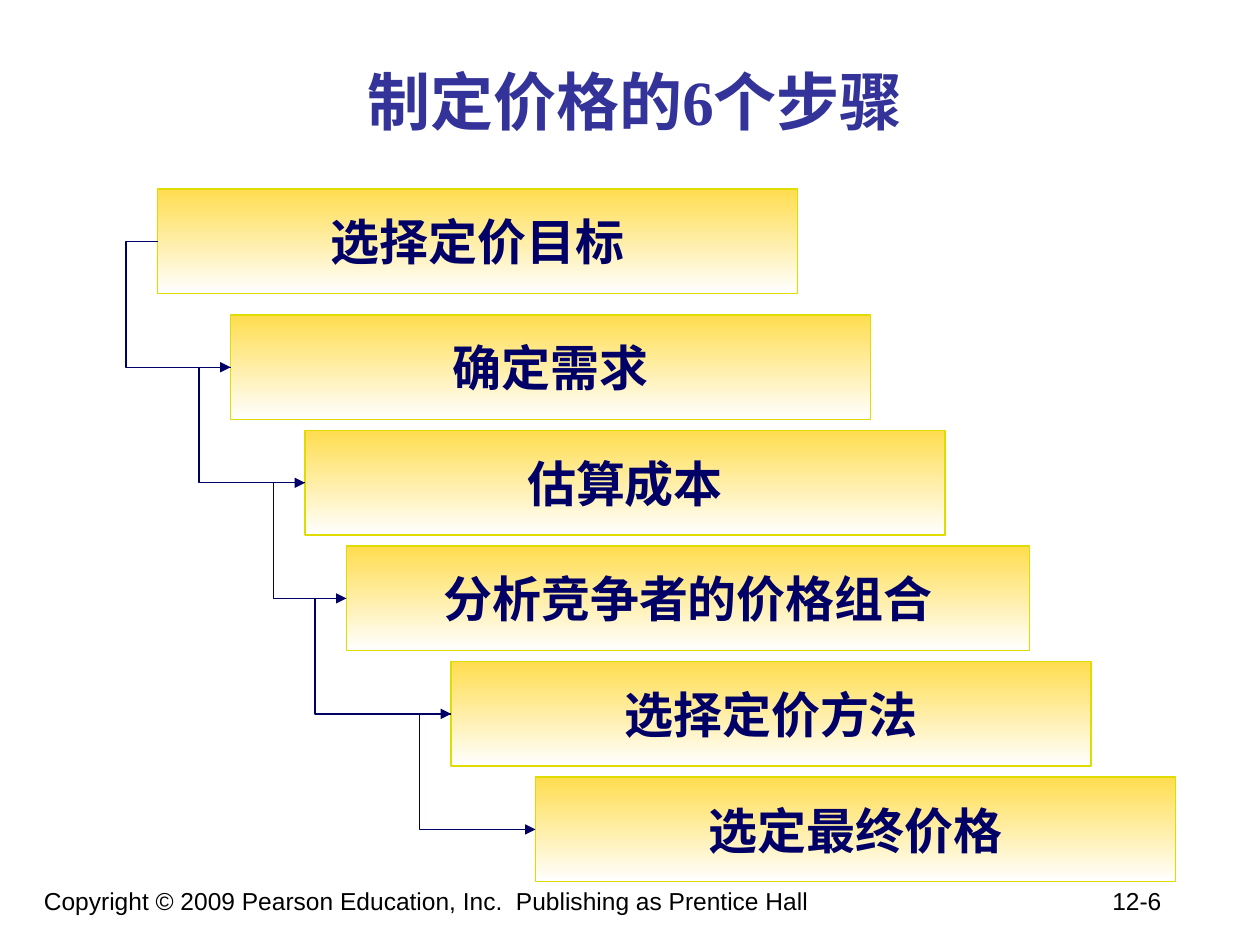
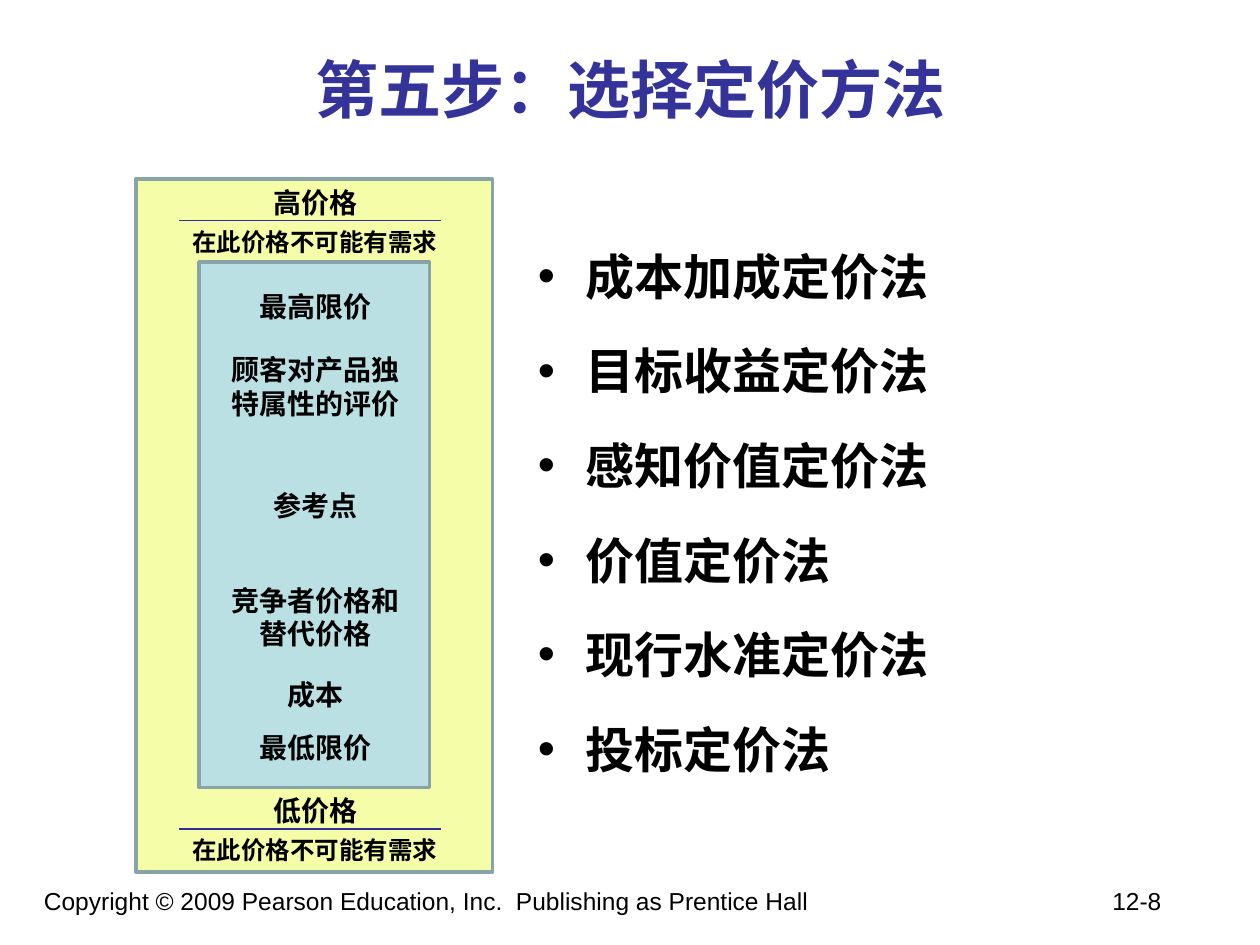
from lxml import etree
from pptx import Presentation
from pptx.dml.color import RGBColor
from pptx.enum.shapes import MSO_CONNECTOR, MSO_SHAPE
from pptx.enum.text import MSO_ANCHOR, MSO_AUTO_SIZE, PP_ALIGN
from pptx.oxml.ns import qn
from pptx.util import Inches, Pt

ELBOW, STRAIGHT = MSO_CONNECTOR.ELBOW, MSO_CONNECTOR.STRAIGHT
RECTANGLE = MSO_SHAPE.RECTANGLE
MIDDLE, TOP = MSO_ANCHOR.MIDDLE, MSO_ANCHOR.TOP
LEFT, CENTER = PP_ALIGN.LEFT, PP_ALIGN.CENTER
FIT_SHAPE = MSO_AUTO_SIZE.SHAPE_TO_FIT_TEXT
NO_FIT = MSO_AUTO_SIZE.NONE

LATIN, CHINESE, SERIF = "Arial", "Noto Sans CJK SC", "Times New Roman"
BLACK, WHITE = "000000", "FFFFFF"
TITLE_BLUE, NAVY, RULE_BLUE = "333399", "000066", "2F2F98"
STEP_GOLD, STEP_EDGE = "FFDD4F", "E1DC00"
SCALE_YELLOW, SCALE_TEAL, SCALE_EDGE = "F5FDA9", "BBE0E3", "89A4A7"

COPYRIGHT = "Copyright © 2009 Pearson Education, Inc.  Publishing as Prentice Hall"

# name, left offset from the first step, width
STEPS = [
    ("选择定价目标", 0, 5.08),
    ("确定需求", 0.58, 5.08),
    ("估算成本", 1.17, 5.08),
    ("分析竞争者的价格组合", 1.5, 5.42),
    ("选择定价方法", 2.33, 5.08),
    ("选定最终价格", 3, 5.08),
]
STEP_HEIGHT = 0.83
STEP_PITCH = 0.917
FIRST_GAP = 1
ELBOW_REACH = 0.25

METHODS = ["成本加成定价法", "目标收益定价法", "感知价值定价法",
           "价值定价法", "现行水准定价法", "投标定价法"]

# label, top and height within the price scale
PRICE_LEVELS = [
    ("最高限价", 0.83, 0.37),
    ("顾客对产品独特属性的评价", 1.33, 0.64),
    ("参考点", 2.41, 0.37),
    ("竞争者价格和替代价格", 3.16, 0.64),
    ("成本", 3.91, 0.37),
    ("最低限价", 4.33, 0.37),
]
NO_DEMAND = "在此价格不可能有需求"


def rgb(value):
    return RGBColor.from_string(value)


def inches(*lengths):
    return [Inches(length) for length in lengths]


def style_text(frame, size, color=BLACK, bold=True, align=CENTER,
               anchor=TOP, font=LATIN):
    frame.vertical_anchor = anchor
    for paragraph in frame.paragraphs:
        paragraph.alignment = align
        for run in paragraph.runs:
            run.font.size = Pt(size)
            run.font.bold = bold
            run.font.name = font
            run.font.color.rgb = rgb(color)
            east_asian = etree.SubElement(run.font._element, qn("a:ea"))
            east_asian.set("typeface", CHINESE)


def add_text(slide, box, text, size, fit=NO_FIT, **style):
    frame = slide.shapes.add_textbox(*inches(*box)).text_frame
    frame.word_wrap = True
    frame.auto_size = fit
    frame.text = text
    style_text(frame, size, **style)
    return frame


def add_rectangle(slide, box, edge, width, fill=None):
    rectangle = slide.shapes.add_shape(RECTANGLE, *inches(*box))
    rectangle.shadow.inherit = False
    rectangle.line.color.rgb = rgb(edge)
    rectangle.line.width = Pt(width)
    if fill:
        rectangle.fill.solid()
        rectangle.fill.fore_color.rgb = rgb(fill)
    return rectangle


def add_line(slide, kind, ends, color):
    line = slide.shapes.add_connector(kind, *inches(*ends))
    line.line.color.rgb = rgb(color)
    line.line.width = Pt(0.75)
    etree.SubElement(line._element.spPr, qn("a:effectLst"))
    return line


def add_slide(deck, title, title_box, number, title_font):
    """Start a slide with the shared title style and footer."""
    slide = deck.slides.add_slide(deck.slide_layouts[5])
    heading = slide.shapes.title
    heading.left, heading.top, heading.width, heading.height = inches(*title_box)
    heading.text_frame.text = title
    style_text(heading.text_frame, 36, TITLE_BLUE, anchor=MIDDLE, font=title_font)

    footer = add_text(slide, (0.25, 6.98, 9.33, 0.52), f"{COPYRIGHT}\t{number}",
                      14, bold=False, align=LEFT)
    tabs = etree.SubElement(footer.paragraphs[0]._p.get_or_add_pPr(), qn("a:tabLst"))
    etree.SubElement(tabs, qn("a:tab"), pos=str(Inches(8.87)), algn="r")
    return slide


def add_step(slide, box, name):
    step = add_rectangle(slide, box, STEP_EDGE, 0.75)
    step.fill.gradient()
    step.fill.gradient_angle = 270
    for stop, color in zip(step.fill.gradient_stops, (STEP_GOLD, WHITE)):
        stop.color.rgb = rgb(color)
    step.text_frame.word_wrap = False
    step.text_frame.text = name
    style_text(step.text_frame, 28, NAVY, anchor=MIDDLE)
    return step


def link_steps(slide, upper, lower):
    """Run an elbow arrow out to the left from one step to the next."""
    link = add_line(slide, ELBOW, (0, 0, 1, 1), NAVY)
    link.begin_connect(upper, 1)
    link.end_connect(lower, 1)
    bend = -round(100000 * Inches(ELBOW_REACH) / (lower.left - upper.left))
    guides = link._element.spPr.find(qn("a:prstGeom")).get_or_add_avLst()
    etree.SubElement(guides, qn("a:gd"), name="adj1", fmla=f"val {bend}")
    etree.SubElement(link.line._get_or_add_ln(), qn("a:tailEnd"), type="triangle")


def add_staircase(slide, left, top):
    steps = []
    for index, (name, offset, width) in enumerate(STEPS):
        drop = FIRST_GAP + (index - 1) * STEP_PITCH if index else 0
        box = (left + offset, top + drop, width, STEP_HEIGHT)
        steps.append(add_step(slide, box, name))
    for upper, lower in zip(steps, steps[1:]):
        link_steps(slide, upper, lower)


def add_price_scale(slide, left, top, width, height):
    add_rectangle(slide, (left, top, width, height), SCALE_EDGE, 2, SCALE_YELLOW)
    add_rectangle(slide, (left + 0.5, top + 0.66, width - 1, height - 1.33),
                  SCALE_EDGE, 2, SCALE_TEAL)
    label_left, label_width = left + 0.59, 1.67

    for extreme, offset in (("高价格", 0), ("低价格", 4.83)):
        label_top = top + offset
        rule_top = label_top + 0.33
        add_line(slide, STRAIGHT,
                 (left + 0.34, rule_top, left + 2.42, rule_top), RULE_BLUE)
        add_text(slide, (label_left, label_top, label_width, 0.37), extreme, 16,
                 FIT_SHAPE)
        add_text(slide, (left + 0.17, rule_top, 2.5, 0.34), NO_DEMAND, 14, FIT_SHAPE)

    for level, offset, level_height in PRICE_LEVELS:
        add_text(slide, (label_left, top + offset, label_width, level_height),
                 level, 16, FIT_SHAPE)


def add_method_list(slide, box):
    frame = add_text(slide, box, "\n".join(METHODS), 28, align=LEFT)
    for index, paragraph in enumerate(frame.paragraphs):
        properties = paragraph._p.get_or_add_pPr()
        properties.set("marL", str(Inches(0.38)))
        properties.set("indent", str(-Inches(0.38)))
        etree.SubElement(properties, qn("a:buFont"), typeface=LATIN)
        etree.SubElement(properties, qn("a:buChar"), char="•")
        paragraph.line_spacing = 1.4
        paragraph.space_before = Pt(3.5 if index else 0)
        paragraph.space_after = Pt(3.5)


def build_steps_slide(deck):
    slide = add_slide(deck, "制定价格的6个步骤", (0.83, 0.17, 8.42, 1.25),
                      "12-6", SERIF)
    add_staircase(slide, 1.25, 1.5)


def build_methods_slide(deck):
    slide = add_slide(deck, "第五步：选择定价方法", (0.75, 0.08, 8.5, 1.25),
                      "12-8", CHINESE)
    add_method_list(slide, (4.17, 1.72, 5.17, 5.37))
    add_price_scale(slide, 1.08, 1.42, 2.83, 5.5)


def main():
    deck = Presentation()
    deck.slide_width, deck.slide_height = inches(10, 7.5)
    build_steps_slide(deck)
    build_methods_slide(deck)
    deck.save("out.pptx")


if __name__ == "__main__":
    main()
